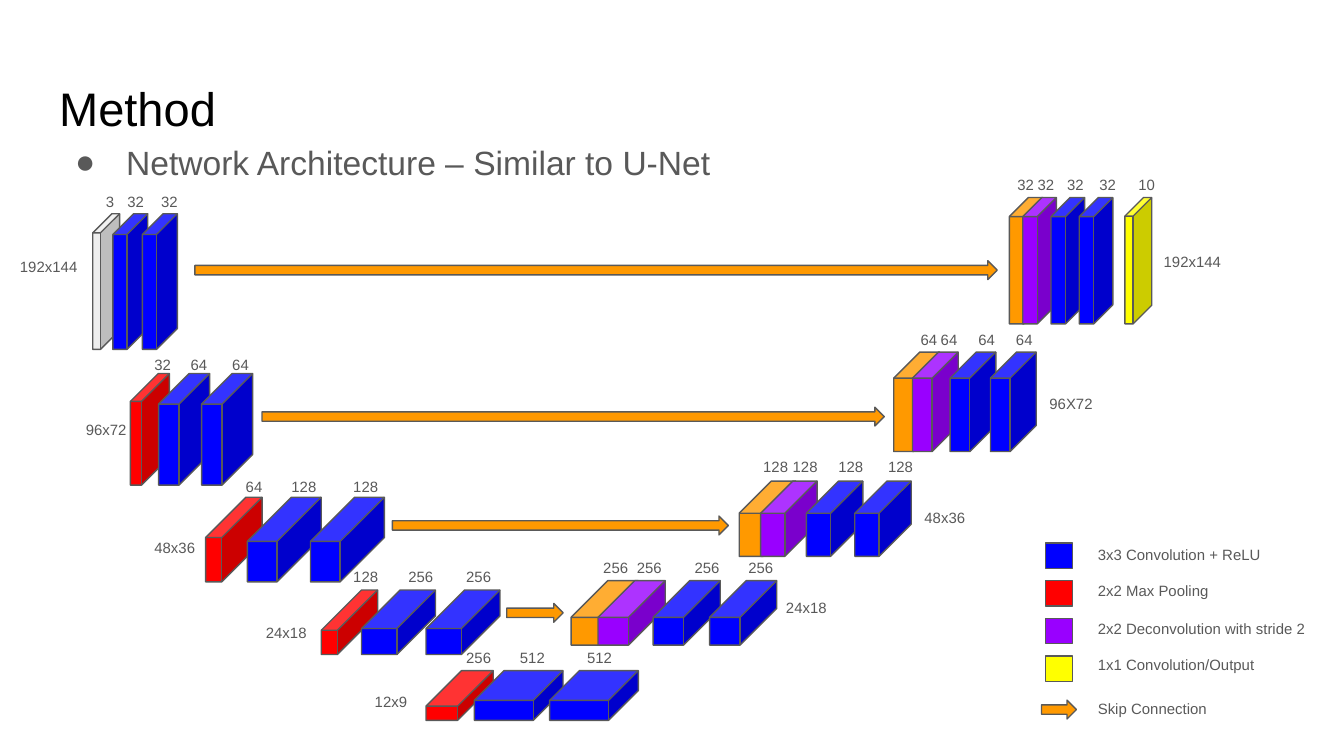
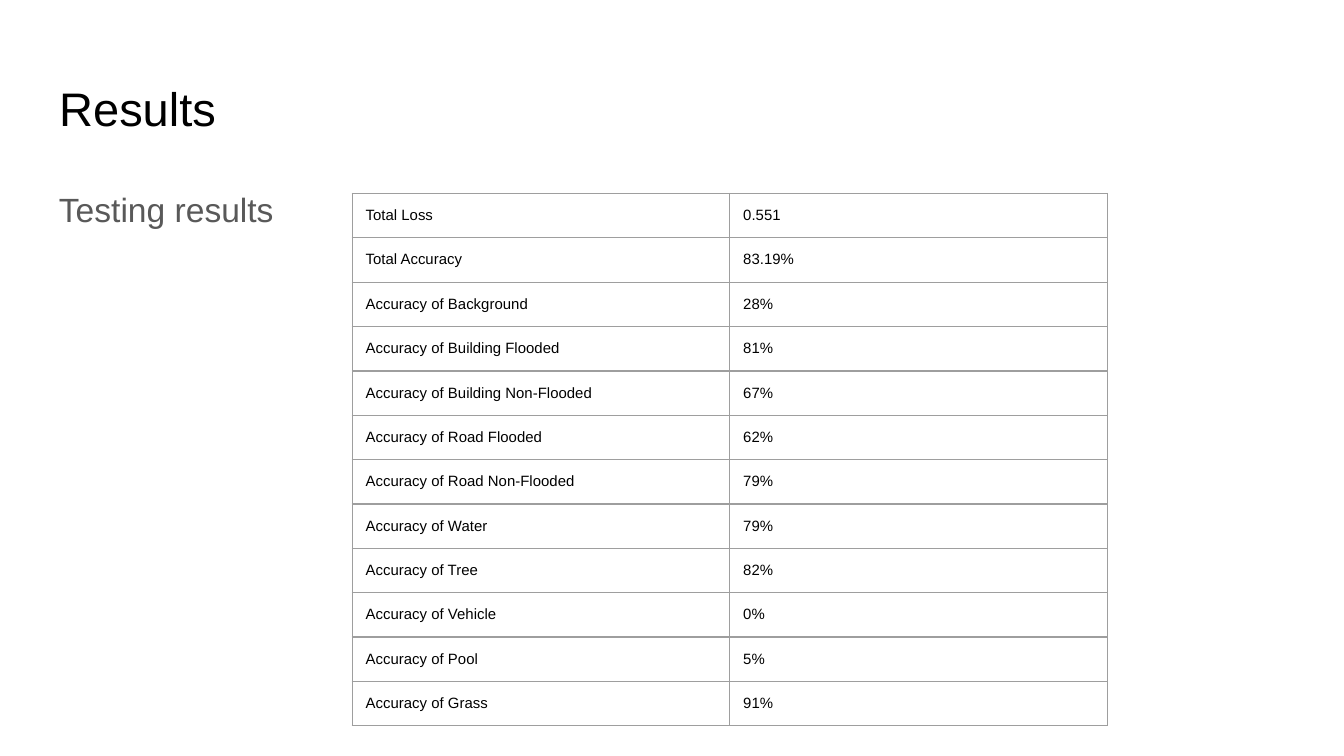
"""Builds two slides: a U-Net style network diagram and its testing results."""
from lxml import etree
from pptx import Presentation
from pptx import util as u
from pptx.dml.color import RGBColor
from pptx.enum import shapes, text
from pptx.oxml import ns

PX = 9144
LABEL_DROP = 3
BLACK = RGBColor(0x00, 0x00, 0x00)
GREY = RGBColor(0x59, 0x59, 0x59)
BORDER = RGBColor(0x9E, 0x9E, 0x9E)
INPUT = RGBColor(0xEE, 0xEE, 0xEE)
CONV = RGBColor(0x00, 0x00, 0xFF)
POOL = RGBColor(0xFF, 0x00, 0x00)
DECONV = RGBColor(0x99, 0x00, 0xFF)
OUTPUT = RGBColor(0xFF, 0xFF, 0x00)
SKIP = RGBColor(0xFF, 0x99, 0x00)
CUBE = shapes.MSO_SHAPE.CUBE
ARROW = shapes.MSO_SHAPE.RIGHT_ARROW
SQUARE = shapes.MSO_SHAPE.RECTANGLE
ENCODER, DECODER = 0.598, 0.57


def write(holder, content, size=8, color=GREY):
    """Put one paragraph of text into a text frame or cell and return it."""
    holder.margin_left = holder.margin_right = 10 * PX
    holder.margin_top = holder.margin_bottom = 10 * PX
    frame = holder if hasattr(holder, "paragraphs") else holder.text_frame
    frame.word_wrap = True
    paragraph = frame.paragraphs[0]
    paragraph.text = content
    paragraph.alignment = text.PP_ALIGN.LEFT
    paragraph.font.name = "Arial"
    paragraph.font.size = u.Pt(size)
    paragraph.font.color.rgb = color
    return paragraph


def block(slide, kind, box, fill, depth=None):
    """Draw an outlined preset shape."""
    shape = slide.shapes.add_shape(kind, *[n * PX for n in box])
    shape.shadow.inherit = False
    shape.fill.solid()
    shape.fill.fore_color.rgb = fill
    shape.line.color.rgb = GREY
    shape.line.width = u.Pt(0.75)
    if depth:
        shape.adjustments[0] = depth


deck = Presentation()
deck.slide_width, deck.slide_height = 1000 * PX, 1000 * PX * 9 // 16
slides = []
for heading, subheading, top, height in [
    ("Method", "Network Architecture – Similar to U-Net", 91, 56),
    ("Results", "Testing results", 126, 374),
]:
    slide = deck.slides.add_slide(deck.slide_layouts[5])
    title = slide.shapes.title
    title.left, title.top, title.width, title.height = [n * PX for n in (34, 49, 932, 63)]
    write(title.text_frame, heading, 25.2, BLACK)
    title.text_frame.vertical_anchor = text.MSO_ANCHOR.MIDDLE
    body = slide.shapes.add_textbox(34 * PX, top * PX, 932 * PX, height * PX)
    intro = write(body.text_frame, subheading, 18)
    intro.line_spacing = 1.15
    slides.append((slide, intro))

(method, intro), (results, testing) = slides
testing.space_after = u.Pt(12)
properties = intro._p.get_or_add_pPr()
properties.set("marL", str(50 * PX))
properties.set("indent", str(-38 * PX))
run_defaults = properties.find(ns.qn("a:defRPr"))
run_defaults.addprevious(etree.Element(ns.qn("a:buFont"), typeface="Arial"))
run_defaults.addprevious(etree.Element(ns.qn("a:buChar"), char="●"))

stages = [
    ("192x144", (5, 182, 64), (159, 26, 101, ENCODER),
     [(84, CONV), (106, CONV)], (69, 134, 84), [(79, 3), (95, 32), (120, 32)]),
    ("96x72", (54, 303, 64), (278, 38, 83, ENCODER),
     [(118, CONV), (150, CONV)], (105, 255, 113), [(115, 32), (142, 64), (173, 64)]),
    ("48x36", (105, 391, 64), (370, 55, 63, ENCODER),
     [(184, CONV), (231, CONV)], (173, 346, 128), [(183, 64), (217, 128), (263, 128)]),
    ("24x18", (188, 454, 64), (439, 55, 48, ENCODER),
     [(269, CONV), (317, CONV)], (253, 413, 128), [(263, 128), (304, 256), (347, 256)]),
    ("12x9", (269, 506, 64), (499, 66, 37, ENCODER),
     [(353, CONV), (409, CONV)], (337, 473, 137), [(347, 256), (387, 512), (437, 512)]),
    ("24x18", (575, 436, 66), (432, 50, 48, DECODER),
     [(425, SKIP), (445, DECONV), (486, CONV), (528, CONV)],
     (439, 406, 157), [(449, 256), (474, 256), (517, 256), (557, 256)]),
    ("48x36", (678, 369, 66), (358, 42, 56, DECODER),
     [(550, SKIP), (566, DECONV), (600, CONV), (636, CONV)],
     (558, 331, 157), [(568, 128), (590, 128), (624, 128), (661, 128)]),
    ("96X72", (771, 284, 66), (262, 34, 74, DECODER),
     [(665, SKIP), (679, DECONV), (707, CONV), (737, CONV)],
     (665, 236, 157), [(685, 64), (700, 64), (728, 64), (756, 64)]),
    ("192x144", (856, 178, 64), (147, 25, 94, DECODER),
     [(751, SKIP), (761, DECONV), (782, CONV), (803, CONV)],
     (737, 121, 157), [(757, 32), (772, 32), (794, 32), (818, 32), (847, 10)]),
]
entries = [(69, 20, INPUT), (97, 29, POOL), (153, 42, POOL), (239, 42, POOL), (317, 50, POOL)]
for number, (size, size_box, cube, layers, channel_box, channels) in enumerate(stages):
    top, width, height, depth = cube
    if number < len(entries):
        left, entry_width, fill = entries[number]
        block(method, CUBE, (left, top, entry_width, height), fill, 0.714)
    for left, fill in layers:
        block(method, CUBE, (left, top, width, height), fill, depth)

    left, top, width = size_box
    name = method.shapes.add_textbox(
        left * PX, (top + LABEL_DROP) * PX, width * PX, 33 * PX)
    write(name.text_frame, size)

    left, top, width = channel_box
    counts = method.shapes.add_textbox(
        left * PX, (top + LABEL_DROP) * PX, width * PX, 33 * PX)
    row = write(counts.text_frame, "\t".join(str(count) for _, count in channels))
    start = channels[0][0]
    counts.text_frame.margin_left = (start - left) * PX
    counts.text_frame.margin_right = 0
    stops = etree.Element(ns.qn("a:tabLst"))
    for position, _ in channels[1:]:
        etree.SubElement(stops, ns.qn("a:tab"), pos=str((position - start) * PX), algn="l")
    row._p.pPr.find(ns.qn("a:defRPr")).addprevious(stops)
block(method, CUBE, (837, 147, 20, 94), OUTPUT, 0.691)

legend = [
    ("3x3 Convolution + ReLU", 396, 146, SQUARE, (778, 404, 20, 19), CONV),
    ("2x2 Max Pooling", 423, 146, SQUARE, (778, 432, 20, 19), POOL),
    ("2x2 Deconvolution with stride 2", 451, 183, SQUARE, (778, 460, 20, 19), DECONV),
    ("1x1 Convolution/Output", 478, 183, SQUARE, (778, 488, 20, 19), OUTPUT),
    ("Skip Connection", 511, 183, ARROW, (775, 521, 26, 14), SKIP),
]
for meaning, top, width, kind, key, fill in legend:
    block(method, kind, key, fill)
    entry = method.shapes.add_textbox(
        807 * PX, (top + LABEL_DROP) * PX, width * PX, 27 * PX)
    write(entry.text_frame, meaning)

for left, top, width in [(377, 449, 42), (292, 384, 250), (195, 303, 463), (145, 194, 597)]:
    block(method, ARROW, (left, top, width, 14), SKIP)

scores = [
    ("Total Loss", "0.551"),
    ("Total Accuracy", "83.19%"),
    ("Accuracy of Background", "28%"),
    ("Accuracy of Building Flooded", "81%"),
    ("Accuracy of Building Non-Flooded", "67%"),
    ("Accuracy of Road Flooded", "62%"),
    ("Accuracy of Road Non-Flooded", "79%"),
    ("Accuracy of Water", "79%"),
    ("Accuracy of Tree", "82%"),
    ("Accuracy of Vehicle", "0%"),
    ("Accuracy of Pool", "5%"),
    ("Accuracy of Grass", "91%"),
]
metrics = results.shapes.add_table(
    len(scores), 2, 262 * PX, 144 * PX, 562 * PX, 33 * len(scores) * PX).table
metrics.first_row = metrics.horz_banding = False
for row, score in enumerate(scores):
    for column, value in enumerate(score):
        cell = metrics.cell(row, column)
        write(cell, value, color=BLACK)
        cell.margin_bottom = 9 * PX
        edges = cell._tc.get_or_add_tcPr()
        for side in ("a:lnL", "a:lnR", "a:lnT", "a:lnB"):
            edge = etree.SubElement(edges, ns.qn(side), w=str(u.Pt(0.75)))
            paint = etree.SubElement(edge, ns.qn("a:solidFill"))
            etree.SubElement(paint, ns.qn("a:srgbClr"), val=str(BORDER))
        cell.fill.background()

deck.save("out.pptx")
